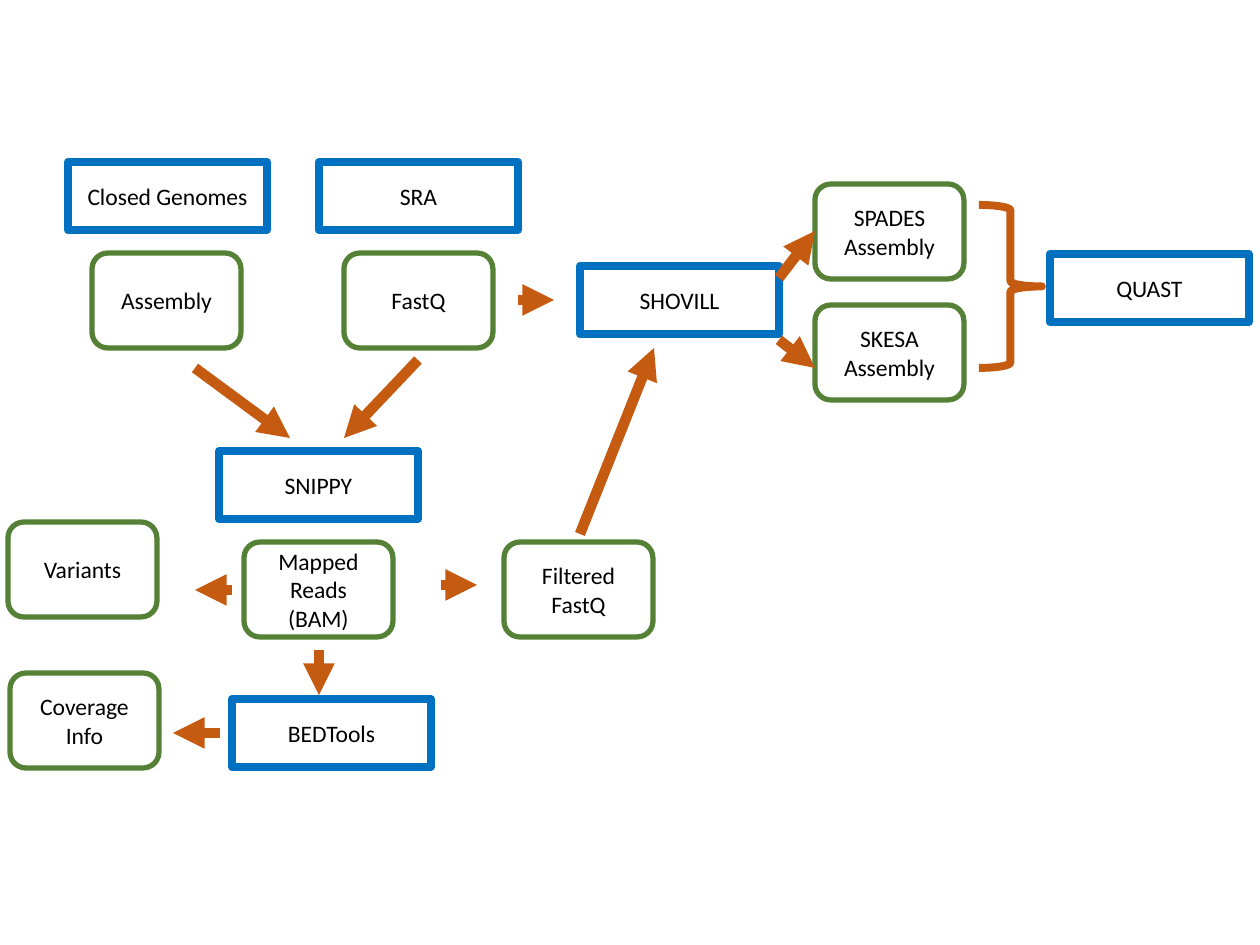
import pptx
import pptx.util
import pptx.dml.color
import pptx.enum.shapes
import pptx.enum.text
import pptx.oxml
import pptx.oxml.ns

SCALE = 914400 // 126
KINDS = pptx.enum.shapes.MSO_SHAPE
BLUE, GREEN, RUST, BLACK = "0070C0", "548135", "C55A11", "000000"
TOOL = {"kind": KINDS.RECTANGLE, "size": (199, 68), "hue": BLUE, "width": 4.5}
DATA = {"kind": KINDS.ROUNDED_RECTANGLE, "size": (149, 95), "hue": GREEN, "width": 3}
FRAME = {
    "word_wrap": True,
    "vertical_anchor": pptx.enum.text.MSO_ANCHOR.MIDDLE,
    "margin_left": 9 * SCALE,
    "margin_right": 9 * SCALE,
    "margin_top": 5 * SCALE,
    "margin_bottom": 5 * SCALE,
}
FONT = {"name": "Calibri", "size": pptx.util.Pt(13.5)}

TOOLS = [
    ("Closed Genomes", 68, 162),
    ("SRA", 319, 162),
    ("SNIPPY", 219, 451),
    ("SHOVILL", 580, 266),
    ("BEDTools", 232, 699),
    ("QUAST", 1050, 254),
]
FILES = [
    ("Assembly", 92, 253),
    ("FastQ", 344, 253),
    ("SPADES Assembly", 815, 184),
    ("SKESA Assembly", 815, 305),
    ("Mapped Reads (BAM)", 244, 542),
    ("Filtered\nFastQ", 504, 542),
    ("Coverage Info", 10, 673),
    ("Variants", 8, 522),
]
FLOWS = [
    (195, 368, 290, 438),
    (418, 360, 344, 438),
    (518, 300, 554, 300),
    (779, 278, 815, 231),
    (779, 340, 815, 368),
    (232, 590, 195, 590),
    (441, 585, 477, 585),
    (580, 534, 654, 348),
    (319, 650, 319, 695),
    (220, 733, 173, 733),
]


def px(*nums):
    """Turn pixels into EMU."""
    return [num * SCALE for num in nums]


def color(text):
    """Turn a hex string into a colour."""
    return pptx.dml.color.RGBColor.from_string(text)


def assign(item, values):
    """Set each named value on an item."""
    for name, value in values.items():
        setattr(item, name, value)


def stroke(line, hue, width):
    """Give a line its colour and width."""
    line.color.rgb = color(hue)
    line.width = pptx.util.Pt(width)


def outline(slide, left, top, kind, size, hue, width):
    """Add an unfilled preset shape."""
    shape = slide.shapes.add_shape(kind, *px(left, top, *size))
    shape.shadow.inherit = False
    shape.fill.background()
    stroke(shape.line, hue, width)
    return shape


def box(slide, text, left, top, style):
    """Add an outlined box with centred text."""
    frame = outline(slide, left, top, **style).text_frame
    frame.text = text
    assign(frame, FRAME)
    for para in frame.paragraphs:
        para.alignment = pptx.enum.text.PP_ALIGN.CENTER
        for run in para.runs:
            assign(run.font, FONT)
            run.font.color.rgb = color(BLACK)


def arrow(slide, *ends):
    """Add a thick arrow between two points."""
    straight = pptx.enum.shapes.MSO_CONNECTOR.STRAIGHT
    link = slide.shapes.add_connector(straight, *px(*ends))
    stroke(link.line, RUST, 6)
    space = pptx.oxml.ns.nsdecls("a")
    tip = pptx.oxml.parse_xml(f'<a:tailEnd {space} type="triangle"/>')
    link.line._get_or_add_ln().append(tip)
    plain = pptx.oxml.parse_xml(f"<a:effectLst {space}/>")
    link._element.spPr.append(plain)


def main():
    """Build the workflow slide."""
    deck = pptx.Presentation()
    deck.slide_width, deck.slide_height = px(1260, 945)
    slide = deck.slides.add_slide(deck.slide_layouts[6])
    for style, items in ((TOOL, TOOLS), (DATA, FILES)):
        for item in items:
            box(slide, *item, style)
    for ends in FLOWS:
        arrow(slide, *ends)
    outline(slide, 979, 205, KINDS.RIGHT_BRACE, (63, 163), RUST, 4.5)
    deck.save("out.pptx")


main()
